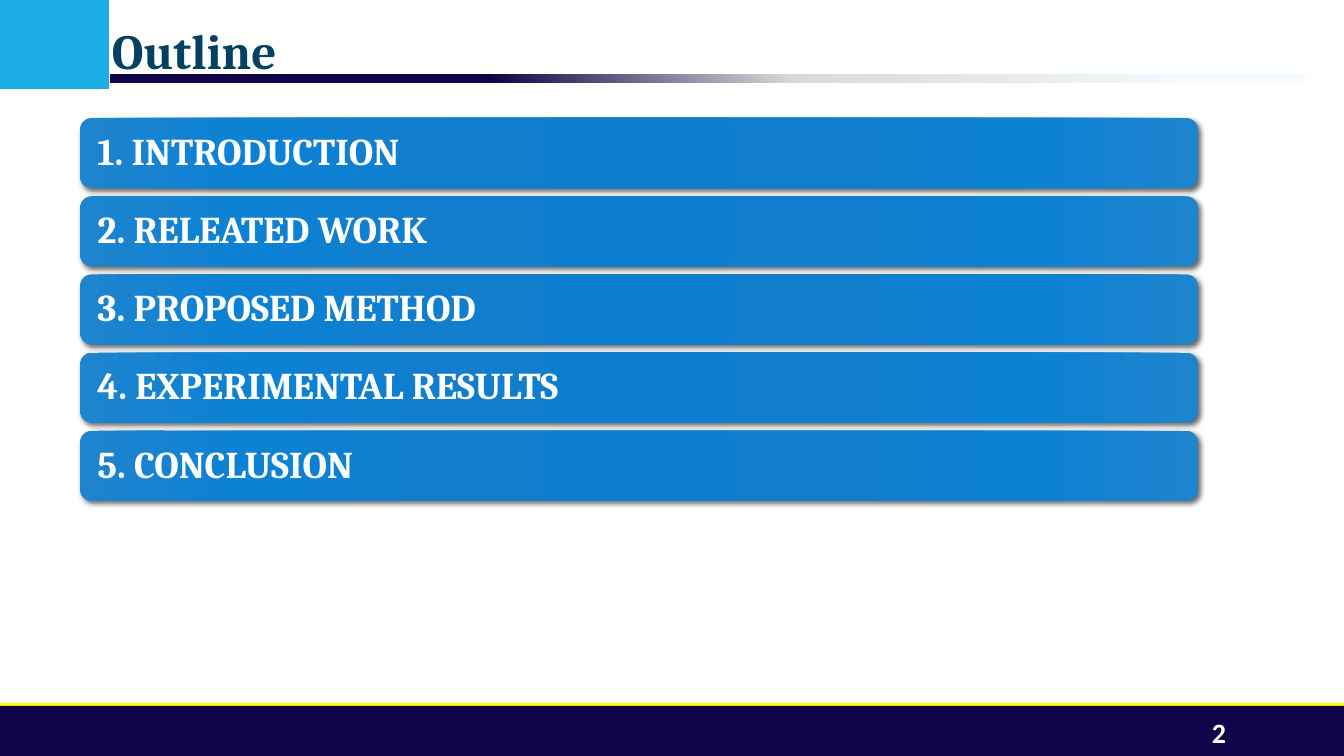
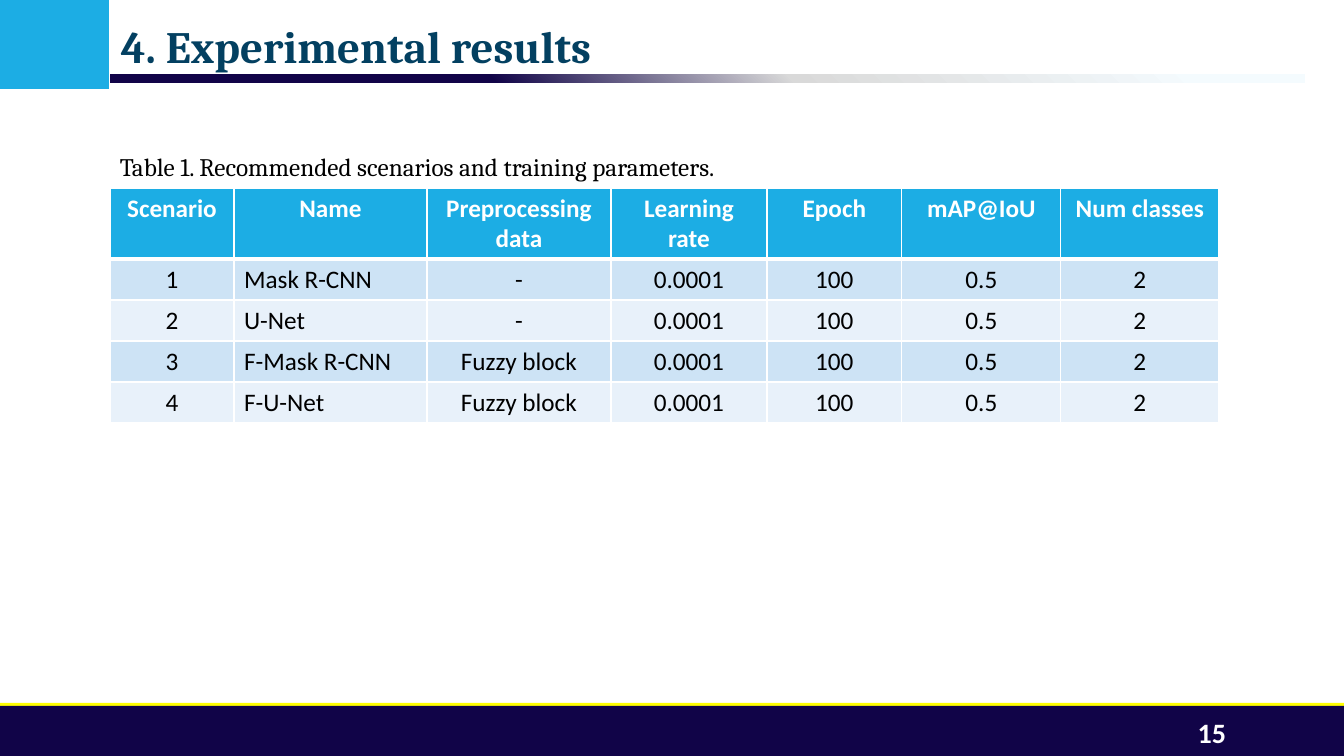
"""Build an outline slide and a results-table slide in one shared style."""
from pptx import Presentation
from pptx.dml.color import RGBColor
from pptx.enum.shapes import MSO_SHAPE
from pptx.enum.text import MSO_ANCHOR, PP_ALIGN
from pptx.oxml import parse_xml
from pptx.oxml.ns import nsdecls, qn
from pptx.util import Emu, Pt

SLIDE_W, SLIDE_H = 1344, 756
EMU_PER_PX = 12192000 / SLIDE_W

CYAN = RGBColor(0x1C, 0xAD, 0xE4)
YELLOW = RGBColor(0xFF, 0xFF, 0x00)
NAVY = RGBColor(0x11, 0x04, 0x48)
TITLE_BLUE = RGBColor(0x03, 0x40, 0x61)
WHITE = RGBColor(0xFF, 0xFF, 0xFF)
BLACK = RGBColor(0x00, 0x00, 0x00)
PALE_ICE = RGBColor(0xF4, 0xFB, 0xFE)
GREY = RGBColor(0xD9, 0xD9, 0xD9)
ROW_BANDS = (RGBColor(0xCD, 0xE3, 0xF5), RGBColor(0xE8, 0xF1, 0xFA))

RULE_STOPS = ((9, PALE_ICE), (43, GREY), (68, NAVY), (100, NAVY))
RULE_FOCUS = (100, 0, 0, 100)
BAR_STOPS = (
    (0, RGBColor(0x0D, 0x7E, 0xCF)),
    (34, RGBColor(0x11, 0x7E, 0xCD)),
    (70, RGBColor(0x0D, 0x81, 0xD4)),
    (100, RGBColor(0x1E, 0x84, 0xCE)),
)
BAR_FOCUS = (100, 100, 100, 100)

SERIF, SANS = "Cambria", "Calibri"
RECT, ROUND_RECT = MSO_SHAPE.RECTANGLE, MSO_SHAPE.ROUNDED_RECTANGLE
TOP, MIDDLE = MSO_ANCHOR.TOP, MSO_ANCHOR.MIDDLE
LEFT, CENTER, RIGHT = PP_ALIGN.LEFT, PP_ALIGN.CENTER, PP_ALIGN.RIGHT

OUTLINE = (
    "1. INTRODUCTION",
    "2. RELEATED WORK",
    "3. PROPOSED METHOD",
    "4. EXPERIMENTAL RESULTS",
    "5. CONCLUSION",
)
SCENARIOS = (
    ("Scenario", "Name", "Preprocessing data", "Learning rate", "Epoch", "mAP@IoU", "Num classes"),
    ("1", "Mask R-CNN", "-", "0.0001", "100", "0.5", "2"),
    ("2", "U-Net", "-", "0.0001", "100", "0.5", "2"),
    ("3", "F-Mask R-CNN", "Fuzzy block", "0.0001", "100", "0.5", "2"),
    ("4", "F-U-Net", "Fuzzy block", "0.0001", "100", "0.5", "2"),
)
NAME_COLUMN = 1
COLUMN_WIDTHS = (124, 193, 184, 156, 135, 159, 158)
HEADER_HEIGHT, ROW_HEIGHT = 71, 41


def px(length):
    """Turn a length in px into EMU."""
    return Emu(round(length * EMU_PER_PX))


def place(box):
    """Turn a left, top, width, height box into EMU."""
    return [px(length) for length in box]


def write(frame, text, size, color, font=SERIF, bold=True, align=LEFT):
    """Put one formatted paragraph into a text frame and return it."""
    frame.text = text
    paragraph = frame.paragraphs[0]
    paragraph.alignment = align
    style = paragraph.runs[0].font
    style.name, style.size, style.bold = font, Pt(size), bold
    style.color.rgb = color
    return paragraph


def add_panel(slide, box, color=None, preset=RECT):
    """Add an unlined, shadowless shape, filled when a colour is given."""
    panel = slide.shapes.add_shape(preset, *place(box))
    panel.shadow.inherit = False
    panel.line.fill.background()
    if color is None:
        panel.fill.background()
    else:
        panel.fill.solid()
        panel.fill.fore_color.rgb = color
    return panel


def add_gradient_panel(slide, box, stops, focus, preset=RECT):
    """Add a panel with a circular gradient around a focus rectangle."""
    panel = add_panel(slide, box, preset=preset)
    stop_xml = "".join(
        f'<a:gs pos="{pos * 1000}"><a:srgbClr val="{color}"/></a:gs>' for pos, color in stops
    )
    focus_xml = " ".join(f'{side}="{share * 1000}"' for side, share in zip("ltrb", focus))
    gradient = parse_xml(
        f'<a:gradFill {nsdecls("a")} rotWithShape="1"><a:gsLst>{stop_xml}</a:gsLst>'
        f'<a:path path="circle"><a:fillToRect {focus_xml}/></a:path></a:gradFill>'
    )
    properties = panel._element.spPr
    properties.replace(properties.find(qn("a:noFill")), gradient)
    return panel


def add_drop_shadow(panel):
    """Give a panel a soft shadow to its lower right."""
    panel._element.spPr.find(qn("a:effectLst")).append(parse_xml(
        f'<a:outerShdw {nsdecls("a")} blurRad="{Pt(3.5)}" dist="{Pt(2)}" dir="2700000" '
        'algn="br" rotWithShape="0"><a:srgbClr val="000000"><a:alpha val="60000"/>'
        '</a:srgbClr></a:outerShdw>'
    ))


def add_label(slide, box, text, size, color, anchor=TOP, **style):
    """Add a wrapping text box with one paragraph and return its frame."""
    frame = slide.shapes.add_textbox(*place(box)).text_frame
    frame.word_wrap = True
    frame.vertical_anchor = anchor
    write(frame, text, size, color, **style)
    return frame


def add_framed_slide(deck, number):
    """Add a blank slide with the shared corner, title rule and footer."""
    slide = deck.slides.add_slide(deck.slide_layouts[6])
    add_panel(slide, (0, 0, 109, 89), CYAN)
    add_panel(slide, (0, 703, SLIDE_W, 7), YELLOW)
    add_panel(slide, (0, 706, SLIDE_W, 50), NAVY)
    add_gradient_panel(slide, (110, 74, 1195, 9), RULE_STOPS, RULE_FOCUS)
    add_label(slide, (1092, 712, 144, 40), number, 20, WHITE, MIDDLE, font=SANS, align=RIGHT)
    return slide


def add_outline_bars(slide, box, entries, gap=8):
    """Stack one bar for each entry with equal gaps inside the box."""
    left, top, width, height = box
    bar_height = (height - gap * (len(entries) - 1)) / len(entries)
    for index, entry in enumerate(entries):
        bar_box = (left, top + index * (bar_height + gap), width, bar_height)
        bar = add_gradient_panel(slide, bar_box, BAR_STOPS, BAR_FOCUS, ROUND_RECT)
        add_drop_shadow(bar)
        frame = bar.text_frame
        frame.word_wrap = True
        frame.vertical_anchor = MIDDLE
        frame.margin_left = frame.margin_right = px(14)
        write(frame, entry, 27, WHITE).line_spacing = 0.9


def add_borders(cell, top_width, bottom_width):
    """Draw white borders around a table cell."""
    properties = cell._tc.get_or_add_tcPr()
    for side, width in (("L", 1), ("R", 1), ("T", top_width), ("B", bottom_width)):
        properties.append(parse_xml(
            f'<a:ln{side} {nsdecls("a")} w="{Pt(width)}"><a:solidFill>'
            f'<a:srgbClr val="{WHITE}"/></a:solidFill></a:ln{side}>'
        ))


def add_scenario_table(slide, left, top, rows):
    """Add the banded scenario table with its header row."""
    heights = [HEADER_HEIGHT] + [ROW_HEIGHT] * (len(rows) - 1)
    box = (left, top, sum(COLUMN_WIDTHS), sum(heights))
    table = slide.shapes.add_table(len(rows), len(COLUMN_WIDTHS), *place(box)).table
    for column, width in zip(table.columns, COLUMN_WIDTHS):
        column.width = px(width)
    for row_index, (row, height, texts) in enumerate(zip(table.rows, heights, rows)):
        row.height = px(height)
        header = row_index == 0
        fill = CYAN if header else ROW_BANDS[(row_index - 1) % 2]
        for column_index, (cell, text) in enumerate(zip(row.cells, texts)):
            add_borders(cell, 3 if row_index == 1 else 1, 3 if header else 1)
            cell.fill.solid()
            cell.fill.fore_color.rgb = fill
            align = LEFT if column_index == NAME_COLUMN and not header else CENTER
            write(cell.text_frame, text, 18, WHITE if header else BLACK, SANS, header, align)


def build_outline_slide(deck):
    """Add the outline slide."""
    slide = add_framed_slide(deck, "2")
    add_label(slide, (102, 15, 695, 70), "Outline", 35, TITLE_BLUE, MIDDLE)
    add_outline_bars(slide, (80, 118, 1118, 383), OUTLINE)


def build_results_slide(deck):
    """Add the experimental results slide."""
    slide = add_framed_slide(deck, "15")
    title = add_label(slide, (110, 20, 1110, 49), "4. Experimental results", 32, TITLE_BLUE)
    title.margin_left, title.margin_right = px(11), 0
    title.paragraphs[0].line_spacing = 0.9
    add_scenario_table(slide, 110, 188, SCENARIOS)
    caption = "Table 1. Recommended scenarios and training parameters."
    add_label(slide, (110, 146, 936, 40), caption, 18, BLACK, bold=False)


def main():
    """Build and save the deck."""
    deck = Presentation()
    deck.slide_width, deck.slide_height = px(SLIDE_W), px(SLIDE_H)
    build_outline_slide(deck)
    build_results_slide(deck)
    deck.save("out.pptx")


if __name__ == "__main__":
    main()
